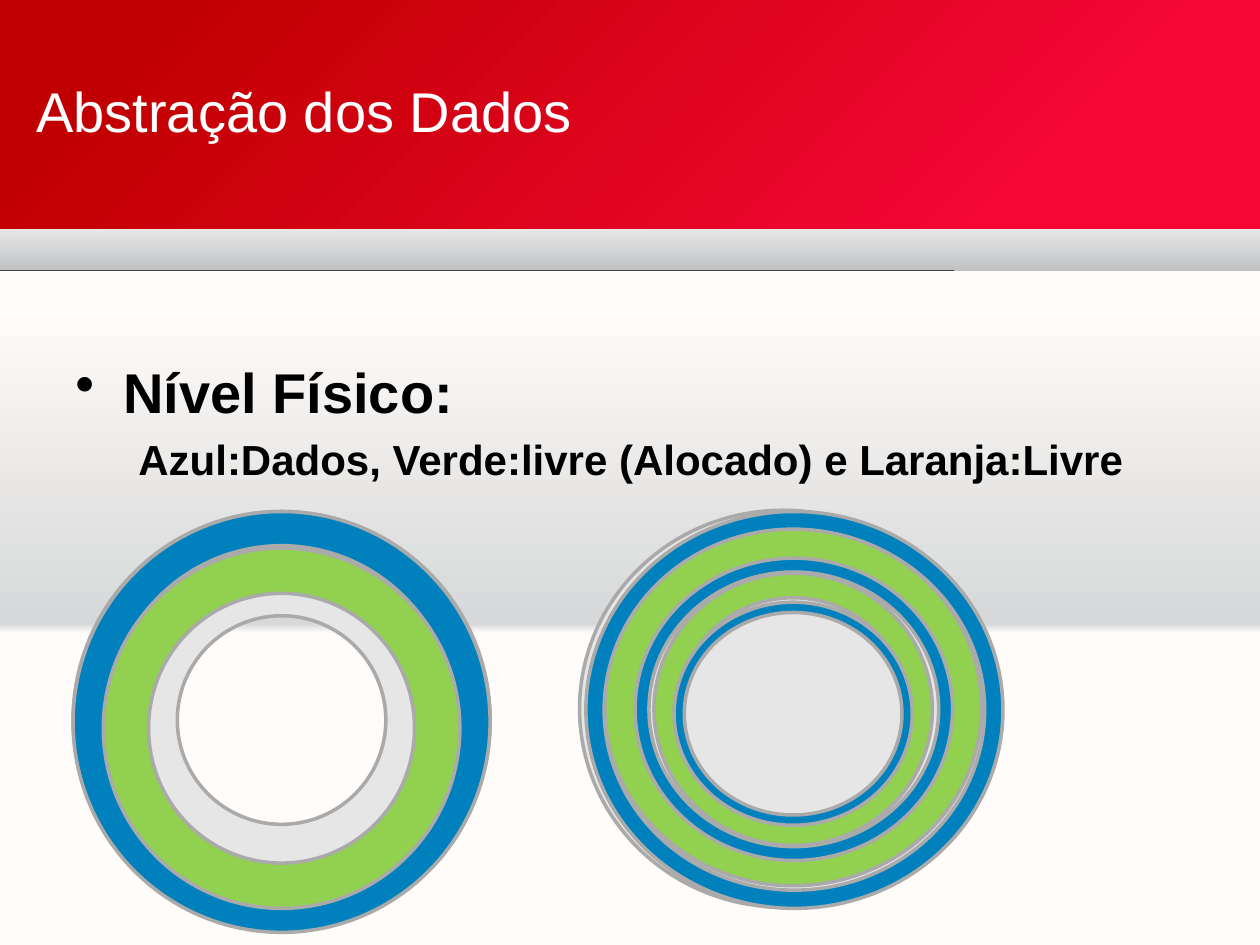
import pptx
import pptx.util
import pptx.dml.color
import pptx.enum.shapes
import pptx.enum.text
import pptx.oxml.ns
import lxml.etree

Inches, Pt = pptx.util.Inches, pptx.util.Pt
SHAPES = pptx.enum.shapes.MSO_SHAPE
ALIGN = pptx.enum.text.PP_ALIGN
ANCHOR = pptx.enum.text.MSO_ANCHOR
qn = pptx.oxml.ns.qn

COLORS = {
    "cream": "FFFCF9", "mist": "D7D8D9", "crimson": "F50736", "dark_red": "C00000",
    "silver": "C1C2C4", "pale": "E6E6E6", "outline": "AAAAAA", "rule": "404040",
    "data": "0081BE", "allocated": "92D050", "black": "000000", "white": "FFFFFF",
}


def rgb(name):
    """Return the named colour."""
    return pptx.dml.color.RGBColor.from_string(COLORS[name])


def set_gradient(fill, element, angle, stops):
    """Give a fill a linear gradient with (percent, colour name) stops."""
    fill.gradient()
    fill.gradient_angle = angle
    stop_list = next(element.iter(qn("a:gsLst")))
    for stop in list(stop_list):
        stop_list.remove(stop)
    for percent, name in stops:
        stop = lxml.etree.SubElement(stop_list, qn("a:gs"), pos=str(percent * 1000))
        lxml.etree.SubElement(stop, qn("a:srgbClr"), val=COLORS[name])


def add_band(page, box, angle, stops):
    """Add a borderless gradient rectangle."""
    band = page.shapes.add_shape(SHAPES.RECTANGLE, *map(Inches, box))
    band.shadow.inherit = False
    band.line.fill.background()
    set_gradient(band.fill, band._element, angle, stops)


def add_header(page, left, top, width):
    """Add the red header, the grey strip and the thin rule under it."""
    add_band(page, (left, top, width, 2.15), 135,
             [(11, "crimson"), (20, "crimson"), (89, "dark_red")])
    add_band(page, (left, top + 1.82, width, 0.33), 90, [(0, "silver"), (100, "pale")])
    bottom = Inches(top + 2.15)
    rule = page.shapes.add_connector(pptx.enum.shapes.MSO_CONNECTOR.STRAIGHT,
                                     Inches(left), bottom, Inches(left + 7.57), bottom)
    rule.line.color.rgb = rgb("rule")
    rule.line.width = Pt(0.5)
    lxml.etree.SubElement(rule._element.spPr, qn("a:effectLst"))


def add_text(page, box, lines, color, bold, anchor):
    """Add a text box with (text, size, alignment) lines and return its paragraphs."""
    frame = page.shapes.add_textbox(*map(Inches, box)).text_frame
    frame.word_wrap = True
    frame.vertical_anchor = anchor
    for index, (text, size, alignment) in enumerate(lines):
        para = frame.paragraphs[0] if index == 0 else frame.add_paragraph()
        para.text = text
        para.alignment = alignment
        para.font.name = "Arial"
        para.font.size = Pt(size)
        para.font.bold = bold
        para.font.color.rgb = rgb(color)
    return frame.paragraphs


def add_body(page, box):
    """Add the bulleted heading and the colour key below it."""
    paras = add_text(page, box, [
        ("Nível Físico: ", 32, ALIGN.JUSTIFY),
        ("Azul:Dados, Verde:livre (Alocado) e Laranja:Livre", 24, ALIGN.JUSTIFY),
    ], "black", True, ANCHOR.TOP)
    for para, margin, indent in zip(paras, (0.38, 0.5), (-0.38, 0)):
        para.space_before = Pt(para.font.size.pt * 0.2)
        properties = para._p.get_or_add_pPr()
        properties.set("marL", str(Inches(margin)))
        properties.set("indent", str(Inches(indent)))
    bullet = lxml.etree.Element(qn("a:buChar"), char="•")
    paras[0]._p.pPr.find(qn("a:defRPr")).addprevious(bullet)


def add_disk(page, left, top, rings):
    """Stack (x, y, width, height, colour, thickness) rings; no thickness means solid."""
    for x, y, width, height, color, thickness in rings:
        kind = SHAPES.DONUT if thickness else SHAPES.OVAL
        ring = page.shapes.add_shape(kind, Inches(left + x), Inches(top + y),
                                     Inches(width), Inches(height))
        if thickness:
            ring.adjustments[0] = thickness
        ring.shadow.inherit = False
        ring.fill.solid()
        ring.fill.fore_color.rgb = rgb(color)
        ring.line.color.rgb = rgb("outline")
        ring.line.width = Pt(2)


CONTIGUOUS_RINGS = [
    (0, 0, 3.31, 3.31, "pale", 0.25),
    (0, 0, 3.31, 3.34, "data", 0.082),
    (0.24, 0.29, 2.83, 2.86, "allocated", 0.127),
]
SCATTERED_RINGS = [
    (0, 0, 3.23, 3.15, "pale", None),
    (0.05, 0.01, 3.31, 3.15, "data", 0.046),
    (0.2, 0.15, 2.99, 2.83, "allocated", 0.09),
    (0.44, 0.38, 2.52, 2.4, "data", 0.046),
    (0.59, 0.5, 2.21, 2.16, "allocated", 0.09),
    (0.75, 0.73, 1.89, 1.77, "data", 0.046),
]

deck = pptx.Presentation()
deck.slide_width, deck.slide_height = Inches(10), Inches(7.5)
page = deck.slides.add_slide(deck.slide_layouts[6])
set_gradient(page.background.fill, page._element, 90,
             [(33, "cream"), (34, "mist"), (68, "cream")])
add_header(page, 0, 0, 10)
add_body(page, (0.5, 2.79, 9, 3.91))
add_text(page, (0.19, 0.56, 5.01, 0.62), [("Abstração dos Dados", 32, ALIGN.LEFT)],
         "white", False, ANCHOR.MIDDLE)
add_disk(page, 0.58, 4.06, CONTIGUOUS_RINGS)
add_disk(page, 4.6, 4.05, SCATTERED_RINGS)
deck.save("out.pptx")
